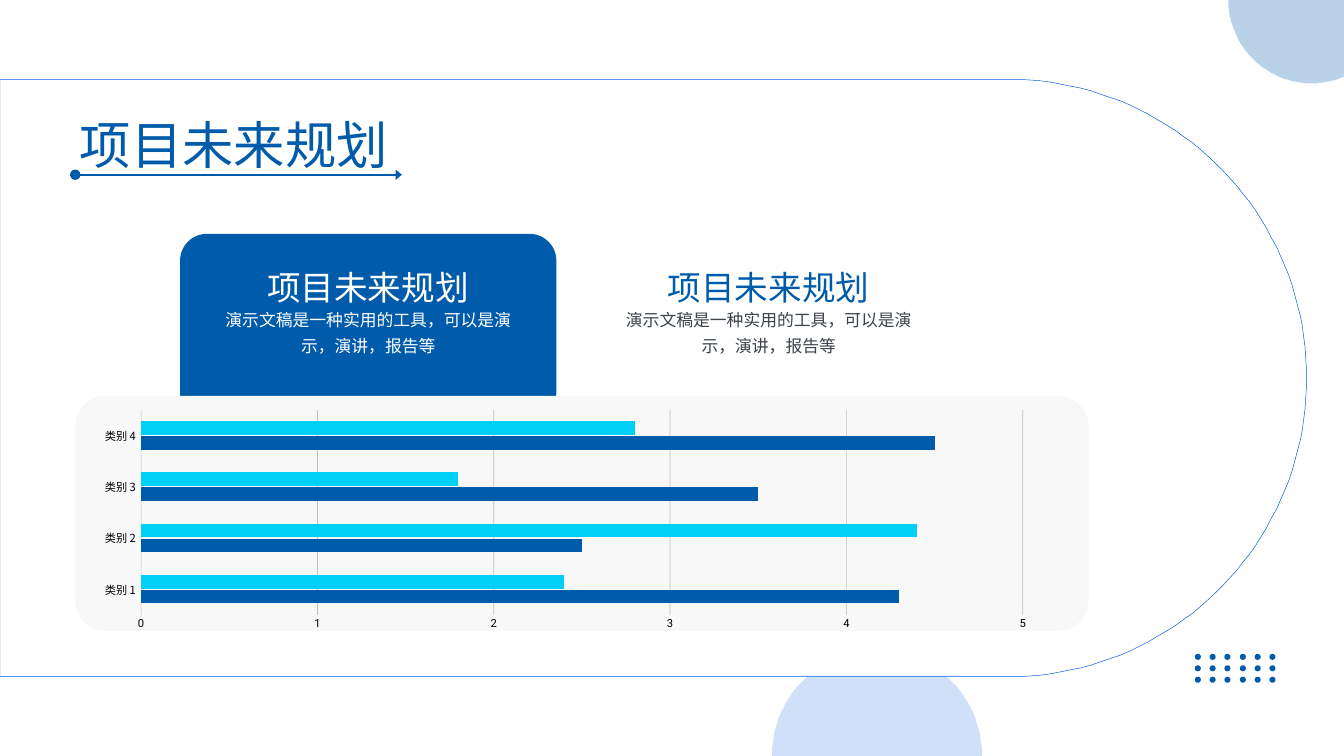
import math
from dataclasses import dataclass

from lxml import etree
from pptx import Presentation
from pptx import util as u
from pptx.chart.data import CategoryChartData
from pptx.dml.color import RGBColor
from pptx.enum import chart as chart_enum, shapes, text
from pptx.oxml import ns

PX = 9144  # EMU per px, 100 px to the inch


@dataclass(frozen=True)
class Theme:
    blue: str = "005BAB"
    bright_blue: str = "0058E0"
    cyan: str = "00CFF6"
    panel: str = "F8F8F8"
    white: str = "FFFFFF"
    black: str = "000000"
    grid: str = "222222"
    body: str = "3B424B"
    chinese: str = "Noto Sans CJK SC"
    latin: str = "Roboto"
    title_size: int = 55
    heading_size: int = 36
    body_size: int = 18
    label_size: int = 12


THEME = Theme()
HEADING = "项目未来规划"
DESCRIPTION = "演示文稿是一种实用的工具，可以是演示，演讲，报告等"


def px(*lengths):
    return [u.Emu(round(length * PX)) for length in lengths]


def style_font(font, name, size, color):
    font.name = name
    font.size = u.Pt(size)
    font.color.rgb = RGBColor.from_string(color)
    font._rPr.find(ns.qn("a:latin")).addnext(
        etree.Element(ns.qn("a:ea"), typeface=name))


def set_alpha(parent, percent):
    """Make the solid colour found inside an XML element transparent."""
    color = next(parent.iter(ns.qn("a:srgbClr")))
    etree.SubElement(color, ns.qn("a:alpha"), val=str(percent * 1000))


def paint(shape, fill, line=None, alpha=None):
    shape.shadow.inherit = False
    shape.fill.solid()
    shape.fill.fore_color.rgb = RGBColor.from_string(fill)
    if alpha:
        set_alpha(shape._element.spPr, alpha)
    if line:
        shape.line.color.rgb = RGBColor.from_string(line)
        shape.line.width = u.Pt(0.5)
    else:
        shape.line.fill.background()


def add_shape(slide, kind, box, fill, radius=None):
    shape = slide.shapes.add_shape(kind, *px(*box))
    if radius is not None:
        shape.adjustments[0] = radius / min(box[2:])
    paint(shape, fill)


def add_arc_shape(slide, center, radius, angles, corners, fill, **look):
    """Draw an arc between two angles in degrees, closed through the corners."""
    start, end = angles
    steps = 90
    turns = [math.radians(start + (end - start) * i / steps) for i in range(steps + 1)]
    arc = [(center[0] + radius * math.cos(t), center[1] + radius * math.sin(t))
           for t in turns]
    builder = slide.shapes.build_freeform(*arc[0], scale=PX)
    builder.add_line_segments(arc[1:] + corners, close=True)
    paint(builder.convert_to_shape(), fill, **look)


def add_text(slide, content, box, *, size, color, leading):
    frame = slide.shapes.add_textbox(*px(*box)).text_frame
    frame.word_wrap = True
    frame.margin_left = frame.margin_right = frame.margin_top = frame.margin_bottom = 0
    paragraph = frame.paragraphs[0]
    paragraph.alignment = text.PP_ALIGN.CENTER
    paragraph.line_spacing = u.Pt(leading)
    run = paragraph.add_run()
    run.text = content
    style_font(run.font, THEME.chinese, size, color)


def add_arrow(slide, start, end):
    arrow = slide.shapes.add_connector(shapes.MSO_CONNECTOR.STRAIGHT, *px(*start, *end))
    arrow.line.color.rgb = RGBColor.from_string(THEME.blue)
    arrow.line.width = u.Pt(2.25)
    line = arrow.line._get_or_add_ln()
    etree.SubElement(line, ns.qn("a:headEnd"), type="oval", w="lg", len="lg")
    etree.SubElement(line, ns.qn("a:tailEnd"), type="triangle", w="lg", len="med")
    etree.SubElement(arrow._element.spPr, ns.qn("a:effectLst"))


def add_dots(slide, left, top, columns=6, rows=3):
    for row in range(rows):
        for column in range(columns):
            box = (left + round(22.2 * column), top + 17 * row, 9, 9)
            add_shape(slide, shapes.MSO_SHAPE.OVAL, box, THEME.blue)


def add_card_text(slide, left, heading_color, body_color):
    add_text(slide, HEADING, (left + 66, 397, 303, 60),
             size=THEME.heading_size, color=heading_color, leading=43.2)
    add_text(slide, DESCRIPTION, (left, 452, 436, 77),
             size=THEME.body_size, color=body_color, leading=28.1)


def place_plot(chart, frame, plot):
    """Fix the inner plot area, with both boxes given in slide px."""
    area = chart._chartSpace.chart.plotArea
    for old in area.findall(ns.qn("c:layout")):
        area.remove(old)
    layout = etree.Element(ns.qn("c:layout"))
    manual = etree.SubElement(layout, ns.qn("c:manualLayout"))
    values = {"layoutTarget": "inner", "xMode": "edge", "yMode": "edge",
              "x": (plot[0] - frame[0]) / frame[2], "y": (plot[1] - frame[1]) / frame[3],
              "w": plot[2] / frame[2], "h": plot[3] / frame[3]}
    for name, value in values.items():
        etree.SubElement(manual, ns.qn(f"c:{name}"), val=str(value))
    area.insert(0, layout)


def add_bar_chart(slide, frame, plot_box):
    data = CategoryChartData()
    data.categories = [f"类别 {number} " for number in range(1, 5)]
    data.add_series("", (4.3, 2.5, 3.5, 4.5))
    data.add_series("", (2.4, 4.4, 1.8, 2.8))
    chart = slide.shapes.add_chart(
        chart_enum.XL_CHART_TYPE.BAR_CLUSTERED, *px(*frame), data).chart
    chart.has_legend = chart.has_title = False
    style_font(chart.font, THEME.latin, THEME.label_size, THEME.black)
    plot = chart.plots[0]
    plot.vary_by_categories = False
    plot.gap_width = 168
    plot.overlap = -10
    for series, color in zip(plot.series, (THEME.blue, THEME.cyan)):
        series.format.fill.solid()
        series.format.fill.fore_color.rgb = RGBColor.from_string(color)
    fonts = (chart.category_axis, THEME.chinese), (chart.value_axis, THEME.latin)
    for axis, name in fonts:
        axis.format.line.fill.background()
        axis.major_tick_mark = axis.minor_tick_mark = chart_enum.XL_TICK_MARK.NONE
        style_font(axis.tick_labels.font, name, THEME.label_size, THEME.black)
    values = chart.value_axis
    values.minimum_scale, values.maximum_scale, values.major_unit = 0, 5, 1
    values.tick_labels.number_format = "0"
    values.tick_labels.number_format_is_linked = False
    grid = values.major_gridlines.format.line
    grid.color.rgb = RGBColor.from_string(THEME.grid)
    grid.width = u.Pt(0.75)
    set_alpha(grid._get_or_add_ln(), 25)
    place_plot(chart, frame, plot_box)


def main():
    presentation = Presentation()
    presentation.slide_width, presentation.slide_height = px(2000, 1125)
    slide = presentation.slides.add_slide(presentation.slide_layouts[6])

    add_arc_shape(slide, (1305, 1123), 156, (180, 360),
                  [(1461, 1125), (1149, 1125)], THEME.bright_blue, alpha=18)
    add_dots(slide, 1778, 973)
    add_arc_shape(slide, (1500, 562.5), 444.5, (-90, 90),
                  [(0, 1007), (0, 118)], THEME.white, line=THEME.bright_blue)

    add_arrow(slide, (112, 260), (598, 260))
    add_text(slide, HEADING, (112, 169, 472, 93),
             size=THEME.title_size, color=THEME.blue, leading=66)

    rounded = shapes.MSO_SHAPE.ROUNDED_RECTANGLE
    chart_panel = (112, 589, 1508, 350)
    add_shape(slide, rounded, (268, 348, 560, 276), THEME.blue, radius=40)
    add_shape(slide, rounded, chart_panel, THEME.panel, radius=46)
    add_bar_chart(slide, chart_panel, (210, 610, 1312, 305))
    add_card_text(slide, 330, THEME.white, THEME.white)
    add_card_text(slide, 926, THEME.blue, THEME.body)

    add_arc_shape(slide, (1952, 0), 124, (67, 180),
                  [(2000, 0)], THEME.blue, alpha=27)
    presentation.save("out.pptx")


if __name__ == "__main__":
    main()
